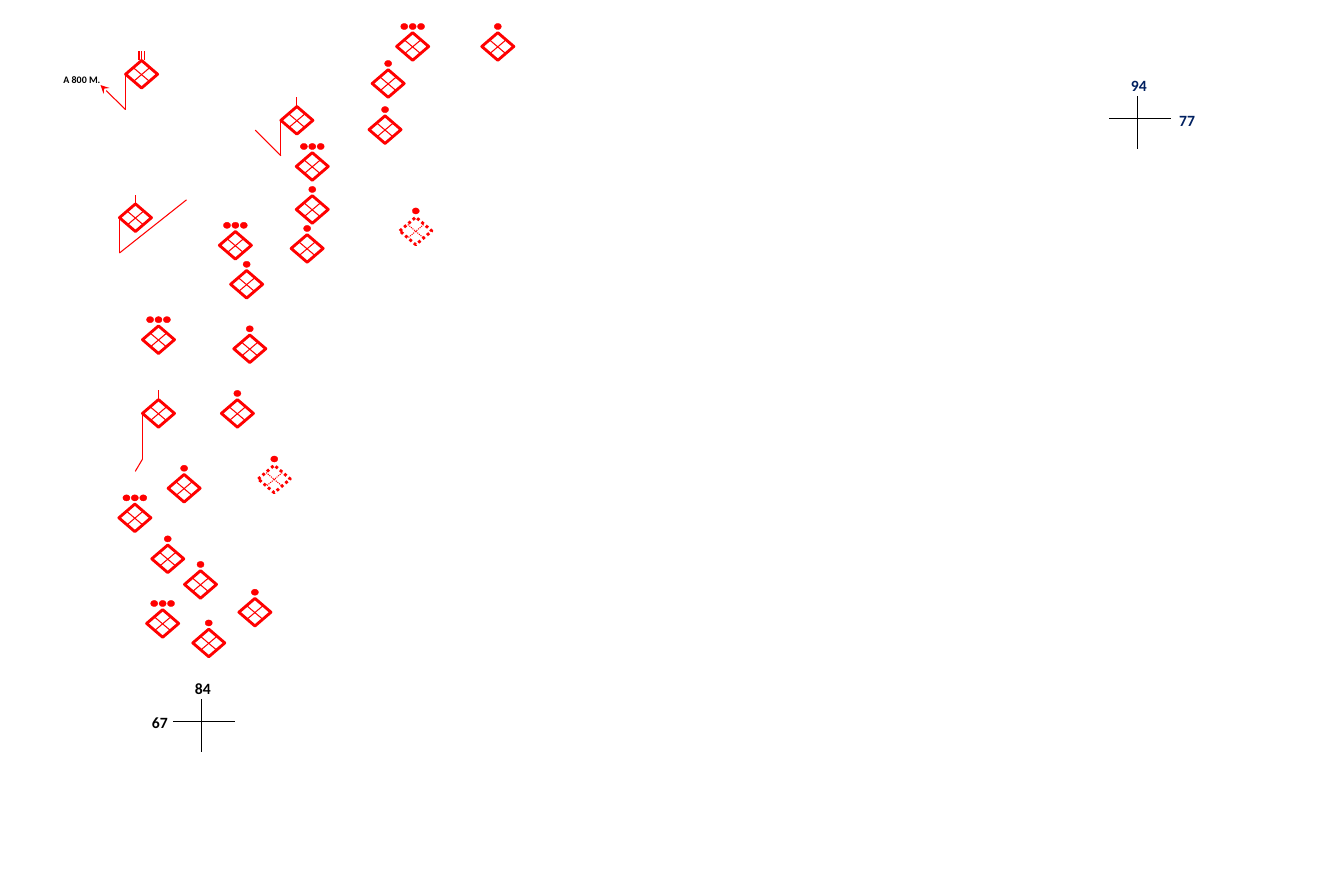
"""Build a map overlay slide of unit symbols, leader lines and two grid crosses."""
from lxml import etree
from pptx import Presentation
from pptx import util as u
from pptx.dml.color import RGBColor
from pptx.enum import dml, shapes, text
from pptx.oxml.ns import qn

COLORS = {"unit": "FF0000", "ink": "000000", "navy": "002060", "paper": "FFFFFF"}
SLIDE = (943.92, 612.72)

PLATOONS = [(278.6, 23), (208.1, 107.3), (154.1, 162.7), (100.1, 229),
            (83.5, 354.2), (103, 428.4)]
SQUADS = [(338.4, 23), (261.4, 49), (259.2, 81.4), (208.1, 137.5), (204.5, 164.9),
          (162, 190.1), (164.2, 235.4), (155.5, 280.8), (118.1, 333.4),
          (106.6, 383), (129.6, 401), (167.8, 420.5), (135.4, 442.1)]
DOTTED_SQUADS = [(280.8, 152.6), (181.4, 326.9)]

HEADQUARTERS = [
    {"at": (100.1, 280.8), "bars": 1, "elbow": (100.1, 322.6), "tip": (95, 331.2)},
    {"at": (88.2, 42.5), "bars": 3, "elbow": (88.2, 77), "tip": (70.6, 59.8),
     "arrow": True},
    {"at": (197.3, 74.9), "bars": 1, "elbow": (197.3, 109.4), "tip": (179.3, 91.4)},
    {"at": (83.9, 143.3), "bars": 1, "elbow": (83.9, 177.8), "tip": (131, 140.4)},
]

GRID_CROSSES = [
    {"center": (799.2, 83.5), "color": "navy", "top": "94", "side": "77",
     "side_at": (27.4, -5.8)},
    {"center": (141.8, 506.9), "color": "ink", "top": "84", "side": "67",
     "side_at": (-36.7, -6.3)},
]
NOTE = {"words": "A 800 M.", "box": (36, 47.5, 51.8, 17.3), "margins": (8.6, 4.3)}

DIAMOND = (22.5, 19.4)
DOT = (5, 4.3)
MARK_RISE = 6.5
DOT_STEP, BAR_STEP = 5.9, 1.8
CROSS_X, CROSS_Y = (5.6, 16.8), (5.2, 14.7)
LABEL = (14.4, 13.7)


def rgb(name):
    return RGBColor.from_string(COLORS[name])


def style_line(line, color, width, dotted=False):
    line.color.rgb = rgb(color)
    line.width = u.Pt(width)
    if dotted:
        line.dash_style = dml.MSO_LINE.ROUND_DOT


def add_line(parent, start, end, color="unit", dotted=False, arrow=False):
    line = parent.add_connector(shapes.MSO_CONNECTOR.STRAIGHT,
                                *(u.Pt(v) for v in (*start, *end)))
    style_line(line.line, color, 0.75, dotted)
    props = line.line._get_or_add_ln().getparent()
    etree.SubElement(props, qn("a:effectLst"))
    if arrow:
        etree.SubElement(line.line._get_or_add_ln(), qn("a:tailEnd"), type="stealth")
    return line


def add_outline(parent, kind, box, width, dotted, filled):
    sp = parent.add_shape(kind, *(u.Pt(v) for v in box))
    sp.shadow.inherit = False
    if filled:
        sp.fill.solid()
        sp.fill.fore_color.rgb = rgb("unit")
    else:
        sp.fill.background()
    style_line(sp.line, "unit", width, dotted)
    return sp


def centered(count, step):
    return [(i - (count - 1) / 2) * step for i in range(count)]


def add_unit(s, at, dots=0, bars=0, dotted=False):
    group = s.shapes.add_group_shape().shapes
    x, y = at
    middle = x + DIAMOND[0] / 2
    diamond = add_outline(group, shapes.MSO_SHAPE.DIAMOND, (x, y, *DIAMOND), 2,
                          dotted, False)
    for left, right in (CROSS_X, CROSS_X[::-1]):
        add_line(group, (x + left, y + CROSS_Y[0]), (x + right, y + CROSS_Y[1]),
                 dotted=dotted)
    for shift in centered(dots, DOT_STEP):
        box = (middle + shift - DOT[0] / 2, y - MARK_RISE, *DOT)
        add_outline(group, shapes.MSO_SHAPE.OVAL, box, 0.25, dotted, True)
    for shift in centered(bars, BAR_STEP):
        add_line(group, (middle + shift, y), (middle + shift, y - MARK_RISE))
    return diamond


def add_label(parent, words, box, size, color, margins=(0, 0), align=None, fill=None):
    sp = parent.add_textbox(*(u.Pt(v) for v in box))
    if fill:
        sp.fill.solid()
        sp.fill.fore_color.rgb = rgb(fill)
    tf = sp.text_frame
    side, edge = (u.Pt(v) for v in margins)
    frame = {"word_wrap": False, "margin_left": side, "margin_right": side,
             "margin_top": edge, "margin_bottom": edge}
    for name, value in frame.items():
        setattr(tf, name, value)
    p = tf.paragraphs[0]
    p.alignment = align
    r = p.add_run()
    r.text = words
    for name, value in {"name": "Calibri", "size": u.Pt(size), "bold": True}.items():
        setattr(r.font, name, value)
    r.font.color.rgb = rgb(color)


def add_grid_cross(s, cross):
    group = s.shapes.add_group_shape().shapes
    x, y = cross["center"]
    add_line(group, (x, y - 15.8), (x, y + 21.2), "ink")
    add_line(group, (x - 20.2, y), (x + 23, y), "ink")
    for words, (dx, dy) in ((cross["side"], cross["side_at"]),
                            (cross["top"], (-6.5, -30.2))):
        add_label(group, words, (x + dx, y + dy, *LABEL), 11, cross["color"],
                  align=text.PP_ALIGN.CENTER, fill="paper")


def main():
    prs = Presentation()
    prs.slide_width, prs.slide_height = (u.Pt(v) for v in SLIDE)
    s = prs.slides.add_slide(prs.slide_layouts[6])
    for places, dots, dotted in ((PLATOONS, 3, False), (SQUADS, 1, False),
                                 (DOTTED_SQUADS, 1, True)):
        for at in places:
            add_unit(s, at, dots=dots, dotted=dotted)
    for unit in HEADQUARTERS:
        diamond = add_unit(s, unit["at"], bars=unit["bars"])
        staff = add_line(s.shapes, unit["at"], unit["elbow"])
        staff.begin_connect(diamond, 1)
        add_line(s.shapes, unit["elbow"], unit["tip"], arrow=unit.get("arrow", False))
    add_label(s.shapes, NOTE["words"], NOTE["box"], 7, "ink", NOTE["margins"])
    for cross in GRID_CROSSES:
        add_grid_cross(s, cross)
    prs.save("out.pptx")


if __name__ == "__main__":
    main()
